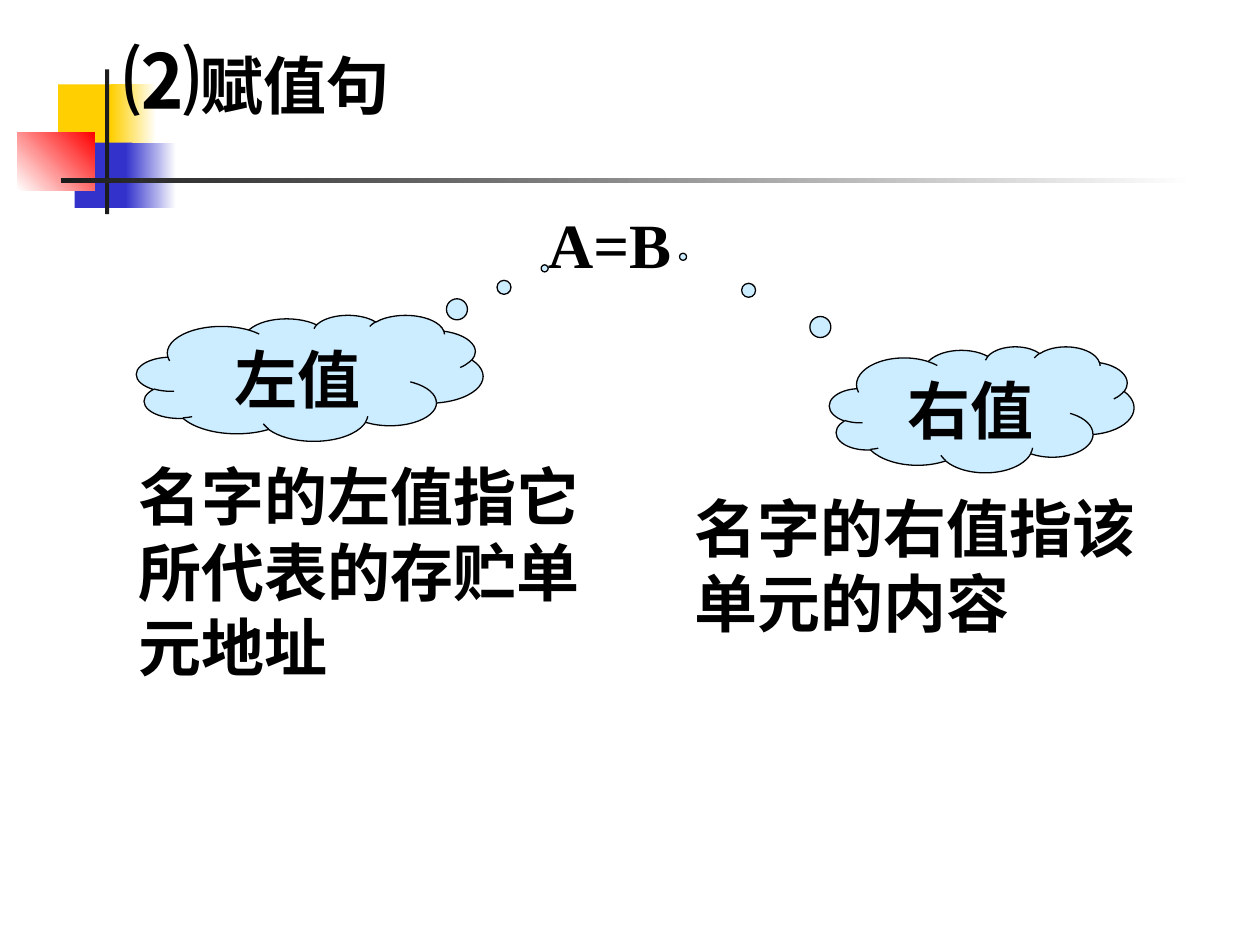
from lxml.etree import SubElement
from pptx import Presentation
from pptx.dml.color import RGBColor
from pptx.enum.shapes import MSO_SHAPE
from pptx.enum.text import MSO_ANCHOR, PP_ALIGN
from pptx.oxml.ns import qn
from pptx.util import Pt

BLACK = RGBColor(0x00, 0x00, 0x00)
WHITE = RGBColor(0xFF, 0xFF, 0xFF)
YELLOW = RGBColor(0xFF, 0xCF, 0x01)
BLUE = RGBColor(0x33, 0x33, 0xCC)
RED = RGBColor(0xFF, 0x00, 0x00)
CHARCOAL = RGBColor(0x1C, 0x1C, 0x1C)
PALE_BLUE = RGBColor(0xCC, 0xEC, 0xFF)
SANS = "Noto Sans CJK SC"
SERIF = "Times New Roman"

deck = Presentation()
deck.slide_width, deck.slide_height = Pt(720), Pt(540)
page = deck.slides.add_slide(deck.slide_layouts[6])


def add_span(para, text, size, font_name):
    """Append a bold black run whose font also covers Chinese characters."""
    span = para.add_run()
    span.text = text
    span.font.size = Pt(size)
    span.font.bold = True
    span.font.color.rgb = BLACK
    span.font.name = font_name
    SubElement(span.font._element, qn("a:ea")).set("typeface", SANS)


# Corner ornament: left, top, width, height, start colour, end colour, angle
ornament = [
    (33.2, 48.2, 34.6, 37.4, YELLOW, None, 0),
    (63.4, 48.2, 25.9, 37.4, YELLOW, WHITE, 0),
    (42.6, 81.5, 33.1, 37.4, BLUE, None, 0),
    (72, 81.5, 28.8, 37.4, BLUE, WHITE, 0),
    (10, 75.5, 44, 33.3, WHITE, RED, 45),
    (60, 39.6, 2.4, 82.8, CHARCOAL, None, 0),
    (34.8, 101.8, 648, 2.9, CHARCOAL, WHITE, 0),
]
for left, top, width, height, start, end, angle in ornament:
    block = page.shapes.add_shape(
        MSO_SHAPE.RECTANGLE, Pt(left), Pt(top), Pt(width), Pt(height))
    block.shadow.inherit = False
    block.line.fill.background()
    if end is None:
        block.fill.solid()
        block.fill.fore_color.rgb = start
    else:
        block.fill.gradient()
        block.fill.gradient_angle = angle
        for stop, colour in zip(block.fill.gradient_stops, (start, end)):
            stop.color.rgb = colour

# Text boxes: left, top, width, height, wrap, spans of (text, size, font)
texts = [
    (63.4, 15.1, 184.3, 60.5, False, [("⑵", 44, SANS), ("赋值句", 36, SANS)]),
    (306, 114, 180, 50.4, True, [("A=B", 36, SERIF)]),
    (72, 258, 282, 136.8, True, [("名字的左值指它所代表的存贮单元地址", 36, SANS)]),
    (390, 276, 282, 93.6, True, [("名字的右值指该 单元的内容", 36, SANS)]),
]
for left, top, width, height, wrap, spans in texts:
    box = page.shapes.add_textbox(Pt(left), Pt(top), Pt(width), Pt(height))
    box.text_frame.word_wrap = wrap
    for text, size, font_name in spans:
        add_span(box.text_frame.paragraphs[0], text, size, font_name)

# Thought clouds: left, top, width, label, pointer offset
clouds = [
    (78, 180, 198, "左值", (0.678, -0.87)),
    (474, 198, 174, "右值", (-0.981, -1.212)),
]
for left, top, width, label, pointer in clouds:
    cloud = page.shapes.add_shape(
        MSO_SHAPE.CLOUD_CALLOUT, Pt(left), Pt(top), Pt(width), Pt(72))
    cloud.adjustments[0], cloud.adjustments[1] = pointer
    cloud.shadow.inherit = False
    cloud.fill.solid()
    cloud.fill.fore_color.rgb = PALE_BLUE
    cloud.line.color.rgb = BLACK
    cloud.line.width = Pt(0.75)
    cloud.text_frame.vertical_anchor = MSO_ANCHOR.TOP
    para = cloud.text_frame.paragraphs[0]
    para.alignment = PP_ALIGN.CENTER
    add_span(para, label, 36, SERIF)

deck.save("out.pptx")
